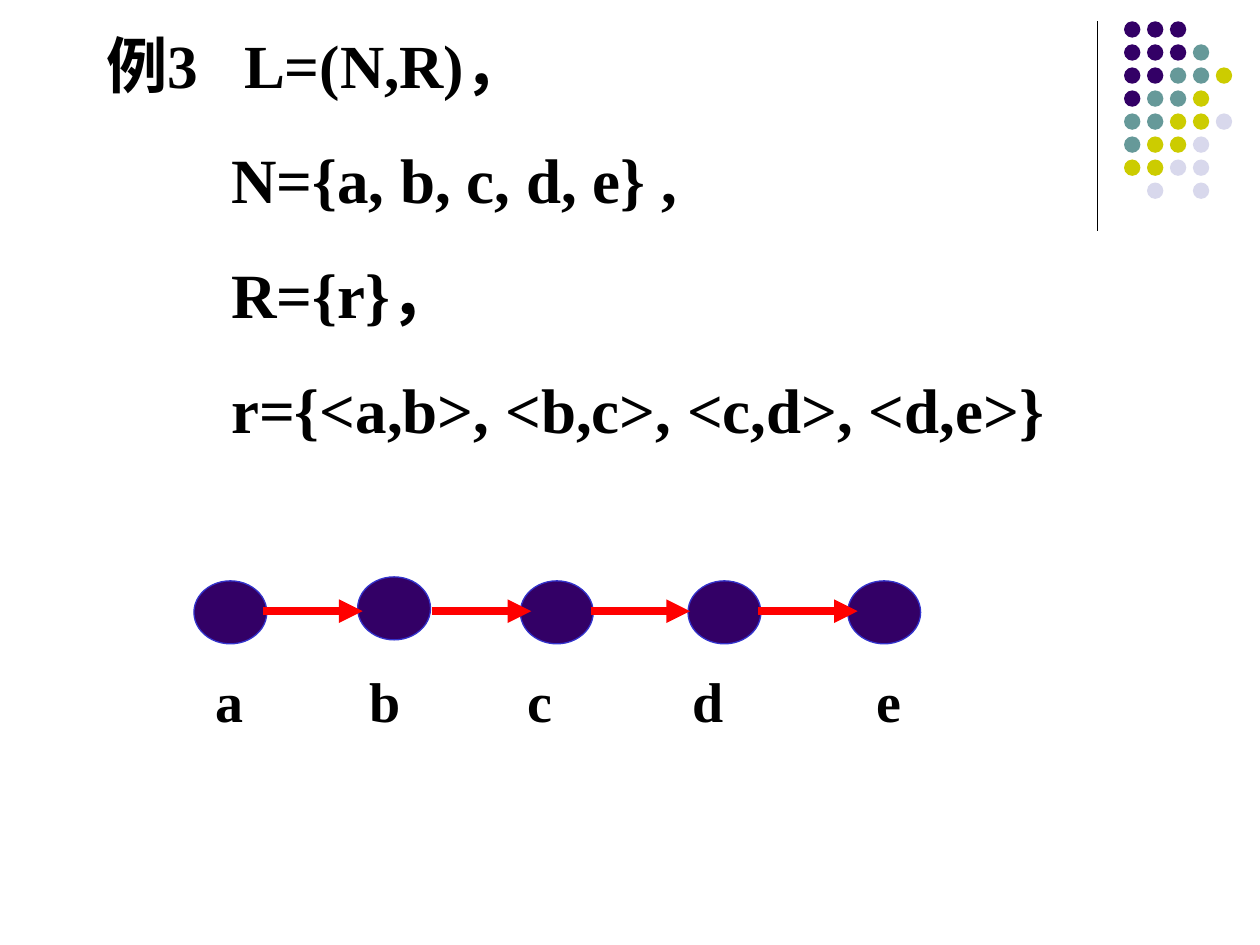
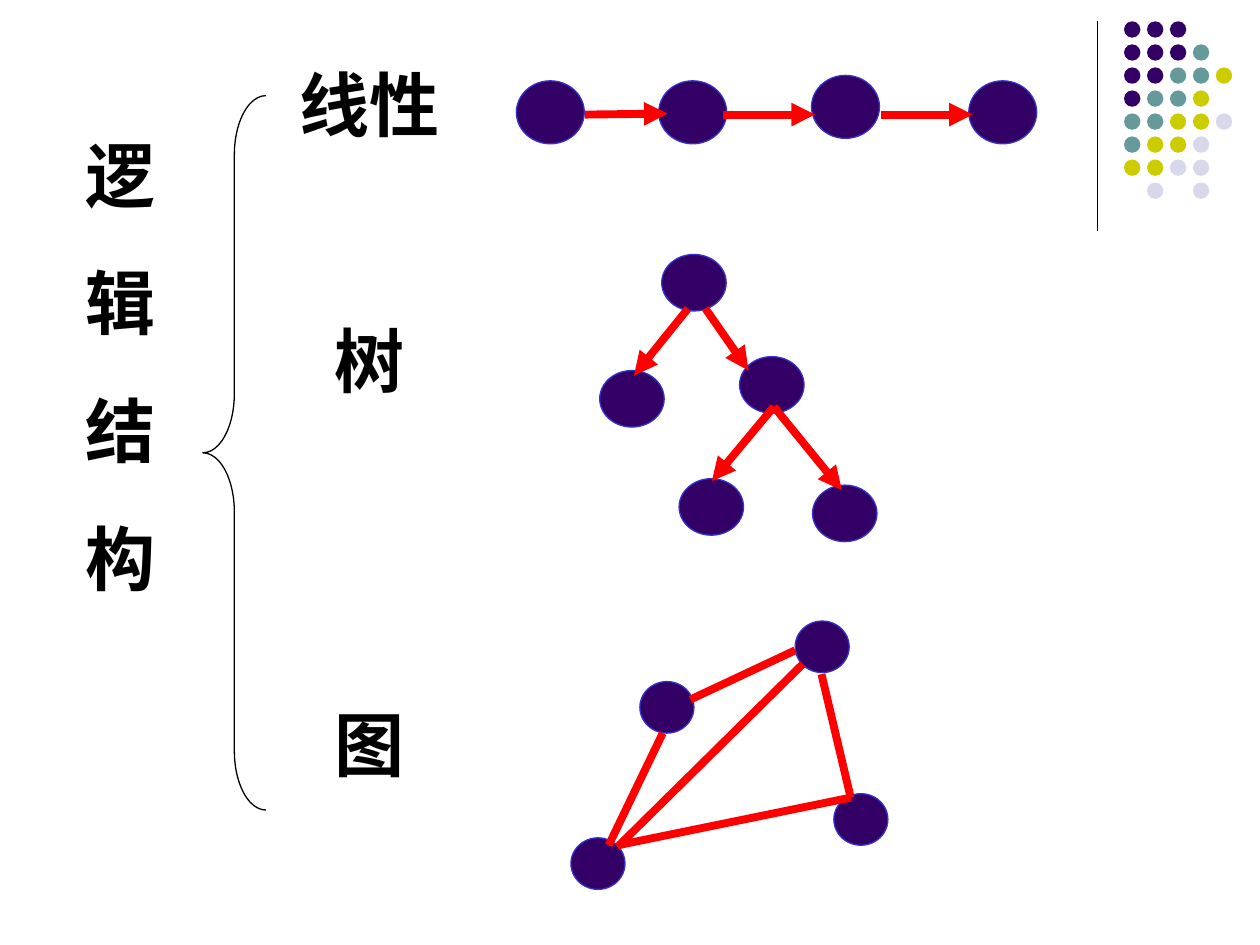
from dataclasses import dataclass

from lxml import etree
from pptx import Presentation
from pptx import util as u
from pptx.dml.color import RGBColor
from pptx.enum import shapes as es, text as et
from pptx.oxml import ns


@dataclass(frozen=True)
class Theme:
    font: str = "Times New Roman"
    ink: str = "000000"
    purple: str = "330066"
    teal: str = "669999"
    olive: str = "CCCC00"
    lilac: str = "D8D8EC"
    outline: str = "3333CC"
    edge: str = "FF0000"
    thin: float = 0.75
    thick: float = 4.5
    example_size: float = 35
    formula_size: float = 36
    label_size: float = 32
    heading_size: float = 40


@dataclass(frozen=True)
class Diagram:
    """Nodes are top-left corners, edges are start and end points, in cm."""
    node_width: float
    node_height: float
    nodes: list[tuple[float, float]]
    edges: list[tuple[float, float, float, float]]
    directed: bool = True


@dataclass(frozen=True)
class Line:
    """A paragraph with its space before in points and its indent in cm."""
    words: str
    before: float = 0
    indent: float = 0
    tabs: tuple[float, ...] = ()
    tab_align: str = "l"


THEME = Theme()

# Corner ornament
DOT_ROWS = ["PPP", "PPPT", "PPTTY", "PTTY", "TTYYL", "TYYL", "YYLL", " L L"]
DOT_COLOURS = {"P": THEME.purple, "T": THEME.teal, "Y": THEME.olive, "L": THEME.lilac}
DOT_LEFT, DOT_TOP, DOT_SIZE = 22.66, 0.43, 0.33
DOT_SPAN_X, DOT_SPAN_Y = 1.85, 3.25

# Slide 1: a chain of five nodes
CHAIN_ARROW_Y, CHAIN_ARROW_LENGTH = 12.32, 2.0
CHAIN = Diagram(
    1.47, 1.27,
    [(3.91, 11.71), (7.21, 11.63), (10.49, 11.71), (13.87, 11.71), (17.09, 11.71)],
    [(x, CHAIN_ARROW_Y, x + CHAIN_ARROW_LENGTH, CHAIN_ARROW_Y)
     for x in (5.31, 8.71, 11.91, 15.29)])
CHAIN_LABEL_CENTRES = (1.69, 4.83, 7.94, 11.33, 14.99)
FORMULA_GAP, FORMULA_INDENT = 22.5, 2.51
FORMULAS = ["N={a, b, c, d, e} ,", "R={r}，", "r={<a,b>, <b,c>, <c,d>, <d,e>}"]

# Slide 2: the three logical structures
HEADING_GAP, HEADING_PITCH = 25, 73.2
LINEAR = Diagram(
    1.37, 1.27,
    [(10.41, 1.63), (13.28, 1.63), (16.36, 1.52), (19.53, 1.63)],
    [(11.79, 2.31, 13.46, 2.29), (14.58, 2.31, 16.43, 2.31), (17.75, 2.31, 19.61, 2.31)])
TREE = Diagram(
    1.3, 1.14,
    [(13.34, 5.13), (12.09, 7.47), (14.91, 7.19), (13.69, 9.65), (16.38, 9.78)],
    [(13.87, 6.22, 12.78, 7.57), (14.22, 6.22, 15.09, 7.47),
     (15.6, 8.2, 14.35, 9.7), (15.6, 8.2, 16.97, 9.88)])
GRAPH = Diagram(
    1.09, 1.04,
    [(12.9, 13.74), (16.81, 16.0), (11.51, 16.89), (16.03, 12.52)],
    [(13.36, 14.78, 12.27, 17.04), (16.56, 13.59, 17.15, 16.08),
     (16.03, 13.11, 13.92, 14.1), (17.15, 16.08, 12.45, 17.04),
     (16.18, 13.39, 12.45, 17.07)],
    directed=False)


def rgb(colour: str) -> RGBColor:
    return RGBColor.from_string(colour)


def add_oval(slide, left: float, top: float, width: float, height: float,
             fill: str, outline: str | None = None):
    oval = slide.shapes.add_shape(es.MSO_SHAPE.OVAL, u.Cm(left), u.Cm(top),
                                  u.Cm(width), u.Cm(height))
    oval.shadow.inherit = False
    oval.fill.solid()
    oval.fill.fore_color.rgb = rgb(fill)
    if outline:
        oval.line.color.rgb = rgb(outline)
        oval.line.width = u.Pt(THEME.thin)
    else:
        oval.line.fill.background()
    return oval


def add_line(slide, ends: tuple[float, float, float, float], colour: str,
             width: float, arrow: bool = False):
    line = slide.shapes.add_connector(es.MSO_CONNECTOR.STRAIGHT, *map(u.Cm, ends))
    line.line.color.rgb = rgb(colour)
    line.line.width = u.Pt(width)
    if arrow:
        etree.SubElement(line.line._get_or_add_ln(), ns.qn("a:tailEnd"), type="triangle")
    etree.SubElement(line.element.spPr, ns.qn("a:effectLst"))
    return line


def add_text(slide, box: tuple[float, float, float, float], lines: list[Line],
             size: float, align=et.PP_ALIGN.LEFT):
    frame = slide.shapes.add_textbox(*map(u.Cm, box)).text_frame
    frame.word_wrap = True
    frame.auto_size = et.MSO_AUTO_SIZE.SHAPE_TO_FIT_TEXT
    frame.text = "\n".join(line.words for line in lines)
    for paragraph, line in zip(frame.paragraphs, lines):
        paragraph.alignment = align
        paragraph.space_before = u.Pt(line.before)
        properties = paragraph._p.get_or_add_pPr()
        if line.indent:
            properties.set("marL", str(u.Cm(line.indent)))
        if line.tabs:
            stops = etree.SubElement(properties, ns.qn("a:tabLst"))
            for stop in line.tabs:
                etree.SubElement(stops, ns.qn("a:tab"), pos=str(u.Cm(stop)),
                                 algn=line.tab_align)
        for run in paragraph.runs:
            run.font.name = THEME.font
            run.font.size = u.Pt(size)
            run.font.bold = True
            run.font.color.rgb = rgb(THEME.ink)
    return frame


def add_diagram(slide, diagram: Diagram) -> None:
    for left, top in diagram.nodes:
        add_oval(slide, left, top, diagram.node_width, diagram.node_height,
                 THEME.purple, THEME.outline)
    for edge in diagram.edges:
        add_line(slide, edge, THEME.edge, THEME.thick, diagram.directed)


def move_ornament_to_layout(slide) -> None:
    """Draw the corner ornament and hand it to the layout both slides share."""
    layout = slide.slide_layout
    for placeholder in list(layout.placeholders):
        layout.shapes.remove(placeholder) if hasattr(layout.shapes, "remove") else \
            layout.shapes.element.remove(placeholder.element)
    ornament = [add_line(slide, (22.12, 0.43, 22.12, 4.65), THEME.ink, THEME.thin)]
    for row, dots in enumerate(DOT_ROWS):
        for column, dot in enumerate(dots):
            if dot in DOT_COLOURS:
                ornament.append(add_oval(
                    slide, DOT_LEFT + DOT_SPAN_X * column / 4,
                    DOT_TOP + DOT_SPAN_Y * row / 7, DOT_SIZE, DOT_SIZE, DOT_COLOURS[dot]))
    for part in ornament:
        layout.shapes.element.append(part.element)


def build_example(slide) -> None:
    # Definition of the structure
    first = Line("例3\tL=(N,R)，", tabs=(2.77,))
    rest = [Line(formula, FORMULA_GAP, FORMULA_INDENT) for formula in FORMULAS]
    definition = add_text(slide, (1.9, 0.43, 20.8, 8.74), [first, *rest], THEME.formula_size)
    opening = definition.paragraphs[0]
    opening.runs[0].font.size = u.Pt(THEME.example_size)

    # Its chain, with a letter under each node
    letters = Line("".join(f"\t{letter}" for letter in "abcde"),
                   tabs=CHAIN_LABEL_CENTRES, tab_align="ctr")
    add_text(slide, (2.69, 13.31, 20.32, 1.63), [letters], THEME.label_size)
    add_diagram(slide, CHAIN)


def build_structures(slide) -> None:
    # Vertical heading and brace
    heading = [Line(sign, HEADING_GAP if i else 0) for i, sign in enumerate("逻辑结构")]
    add_text(slide, (1.47, 2.54, 1.9, 9.68), heading, THEME.heading_size, et.PP_ALIGN.CENTER)
    brace = slide.shapes.add_shape(es.MSO_SHAPE.LEFT_BRACE, u.Cm(4.09), u.Cm(1.93),
                                   u.Cm(1.27), u.Cm(14.4))
    brace.shadow.inherit = False
    brace.adjustments[0], brace.adjustments[1] = 0.94, 0.5
    brace.fill.background()
    brace.line.color.rgb = rgb(THEME.ink)
    brace.line.width = u.Pt(THEME.thin)

    # Names of the branches and their diagrams
    branches = [Line("线性"), Line("树", HEADING_GAP + HEADING_PITCH),
                Line("图", HEADING_GAP + 2 * HEADING_PITCH)]
    add_text(slide, (4.7, 1.12, 5.51, 14.83), branches, THEME.heading_size,
             et.PP_ALIGN.CENTER)
    for diagram in (GRAPH, TREE, LINEAR):
        add_diagram(slide, diagram)


def main() -> None:
    deck = Presentation()
    deck.slide_width, deck.slide_height = u.Cm(25.4), u.Cm(19.05)
    blank = deck.slide_layouts[6]
    example, structures = (deck.slides.add_slide(blank) for _ in range(2))
    move_ornament_to_layout(example)
    build_example(example)
    build_structures(structures)
    deck.save("out.pptx")


if __name__ == "__main__":
    main()
